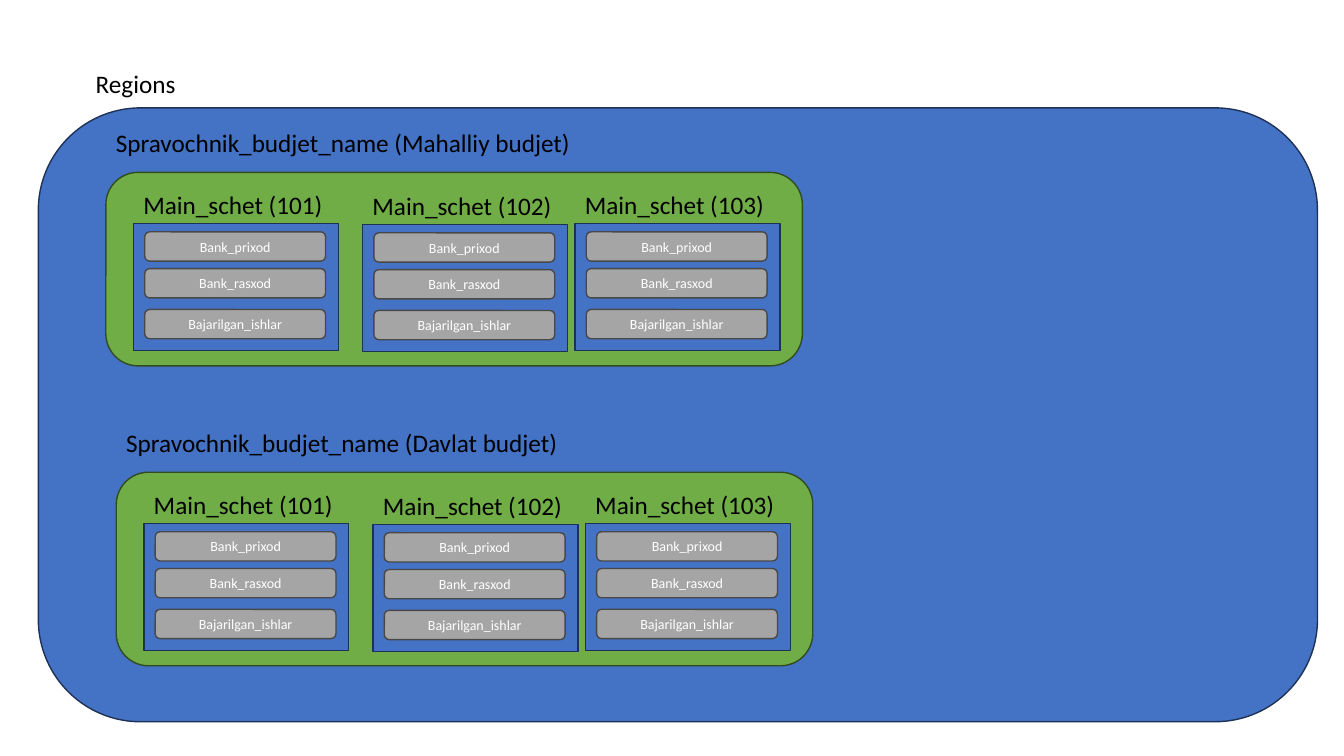
"""Draw the regions slide: budgets that hold accounts and their entries."""
from pptx import Presentation
from pptx.dml.color import RGBColor
from pptx.enum.shapes import MSO_SHAPE
from pptx.enum.text import MSO_ANCHOR, MSO_AUTO_SIZE, PP_ALIGN
from pptx.util import Inches, Pt

HUES = {
    "blue": "4472C4", "navy": "1E3256",
    "green": "70AD47", "moss": "314C1F",
    "gray": "A5A5A5", "slate": "484848",
    "black": "000000", "white": "FFFFFF",
}
COLS, ROWS = 40, 30
BUDGETS = [
    ("Mahalliy budjet", 3.15, 6.84, 14.28),
    ("Davlat budjet", 3.46, 18.74, 13.59),
]
ACCOUNTS = [(101, 0.82, 2.04), (102, 7.64, 2.08), (103, 13.96, 2.04)]
ENTRIES = [("Bank_prixod", 0.32), ("Bank_rasxod", 1.78), ("Bajarilgan_ishlar", 3.4)]


class Board:
    """Hold the slide, its grid and the shared text style."""

    font = "Calibri"

    def __init__(self, deck):
        self.slide = deck.slides.add_slide(deck.slide_layouts[5])
        self.col = deck.slide_width / COLS
        self.row = deck.slide_height / ROWS
        self.shapes = self.slide.shapes

    def group(self):
        self.shapes = self.slide.shapes.add_group_shape().shapes

    def place(self, x, y, w, h):
        return (round(x * self.col), round(y * self.row),
                round(w * self.col), round(h * self.row))

    def letter(self, shape, text, size, hue, align=PP_ALIGN.LEFT):
        frame = shape.text_frame
        frame.text = text
        para = frame.paragraphs[0]
        para.alignment = align
        para.font.name = self.font
        para.font.size = Pt(size)
        para.font.color.rgb = RGBColor.from_string(HUES[hue])
        return frame

    def title(self, text, *area):
        shape = self.slide.shapes.title
        shape.left, shape.top, shape.width, shape.height = self.place(*area)
        frame = self.letter(shape, text, 18, "black")
        frame.vertical_anchor = MSO_ANCHOR.TOP
        frame.auto_size = MSO_AUTO_SIZE.NONE

    def label(self, text, *area):
        shape = self.shapes.add_textbox(*self.place(*area))
        frame = self.letter(shape, text, 18, "black")
        frame.word_wrap = False
        frame.auto_size = MSO_AUTO_SIZE.SHAPE_TO_FIT_TEXT

    def box(self, kind, fill, line, *area):
        shape = self.shapes.add_shape(kind, *self.place(*area))
        shape.shadow.inherit = False
        shape.fill.solid()
        shape.fill.fore_color.rgb = RGBColor.from_string(HUES[fill])
        shape.line.color.rgb = RGBColor.from_string(HUES[line])
        shape.line.width = Pt(1)
        return shape

    def entry(self, text, x, y):
        shape = self.box(MSO_SHAPE.ROUNDED_RECTANGLE, "gray", "slate", x, y, 5.38, 1.16)
        frame = self.letter(shape, text, 10, "white", PP_ALIGN.CENTER)
        frame.vertical_anchor = MSO_ANCHOR.MIDDLE

    def account(self, code, x, y):
        self.box(MSO_SHAPE.RECTANGLE, "blue", "navy", x, y, 6.1, 5.04)
        self.label(f"Main_schet ({code})", x, y - 1.56, 6, 1.6)
        for text, down in ENTRIES:
            self.entry(text, x + 0.34, y + down)

    def budget(self, name, x, y, wide):
        self.group()
        self.box(MSO_SHAPE.ROUNDED_RECTANGLE, "green", "moss", x, y, 20.73, 7.68)
        self.label(f"Spravochnik_budjet_name ({name})", x, y - 1.97, wide, 1.6)
        for code, right, down in ACCOUNTS:
            self.account(code, x + right, y + down)


def main():
    deck = Presentation()
    deck.slide_width, deck.slide_height = Inches(13.33), Inches(7.5)
    board = Board(deck)
    board.title("Regions", 2.55, 2.52, 10, 1.6)
    board.box(MSO_SHAPE.ROUNDED_RECTANGLE, "blue", "navy", 1.14, 4.28, 38.07, 24.36)
    for budget in BUDGETS:
        board.budget(*budget)
    deck.save("out.pptx")


if __name__ == "__main__":
    main()
